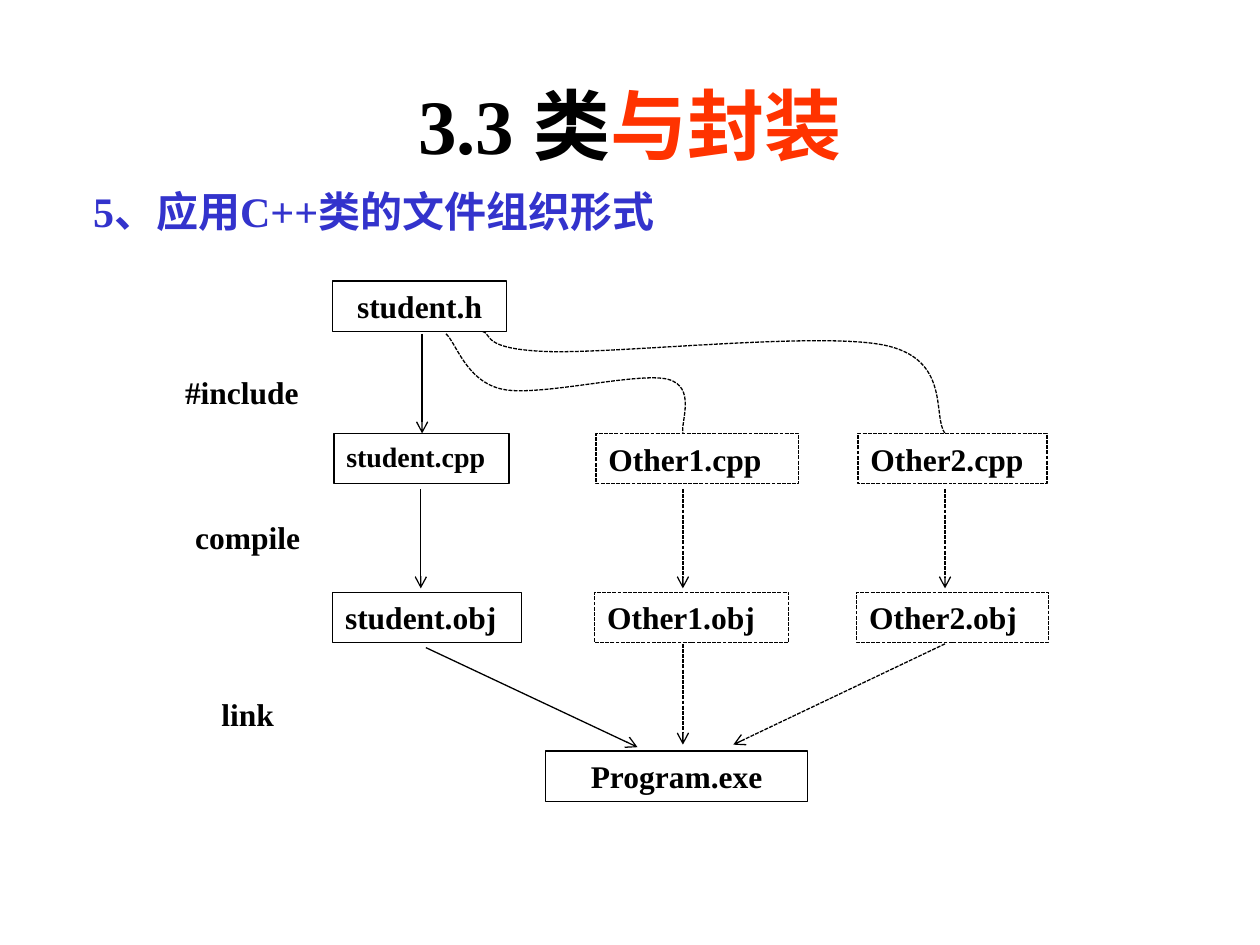
from lxml import etree
from pptx import Presentation
from pptx.dml.color import RGBColor
from pptx.enum import dml, shapes, text
from pptx.oxml import ns
from pptx.util import Inches, Pt

COLORS = {"ink": "000000", "paper": "FFFFFF", "accent": "FF3300", "heading": "3333CC"}
FONT = "Times New Roman"
ALIGN = text.PP_ALIGN
COLUMN_STEP = 2.08


def rgb(name):
    return RGBColor.from_string(COLORS[name])


def style_run(run, size, color):
    run.font.name = FONT
    run.font.size = Pt(size)
    run.font.bold = True
    run.font.color.rgb = rgb(color)


def style_line(line, dashed):
    line.color.rgb = rgb("ink")
    line.width = Pt(0.75)
    if dashed:
        line.dash_style = dml.MSO_LINE.SQUARE_DOT


def add_label(slide, box, wording, align=ALIGN.JUSTIFY, size=18):
    label = slide.shapes.add_shape(shapes.MSO_SHAPE.RECTANGLE, *map(Inches, box))
    label.shadow.inherit = False
    label.fill.solid()
    label.fill.fore_color.rgb = rgb("paper")
    label.line.fill.background()
    frame = label.text_frame
    frame.vertical_anchor = text.MSO_ANCHOR.TOP
    frame.text = wording
    frame.paragraphs[0].alignment = align
    style_run(frame.paragraphs[0].runs[0], size, "ink")
    return label


def add_file(slide, box, wording, align=ALIGN.JUSTIFY, size=18, dashed=False):
    style_line(add_label(slide, box, wording, align, size).line, dashed)


def add_arrow(slide, start, end, dashed=False):
    arrow = slide.shapes.add_connector(
        shapes.MSO_CONNECTOR.STRAIGHT, *map(Inches, (*start, *end))
    )
    style_line(arrow.line, dashed)
    etree.SubElement(arrow.line._get_or_add_ln(), ns.qn("a:tailEnd"), type="arrow")
    etree.SubElement(arrow._element.spPr, ns.qn("a:effectLst"))


def add_curve(slide, points):
    start, *controls = [tuple(map(Inches, point)) for point in points]
    builder = slide.shapes.build_freeform(*start)
    builder.add_line_segments(controls, close=False)
    curve = builder.convert_to_shape()
    segments = list(curve._element.iter(ns.qn("a:lnTo")))
    for first in range(0, len(segments), 3):
        bezier = etree.Element(ns.qn("a:cubicBezTo"))
        segments[first].addprevious(bezier)
        for segment in segments[first:first + 3]:
            bezier.append(segment[0])
            segment.getparent().remove(segment)
    curve.shadow.inherit = False
    curve.fill.background()
    style_line(curve.line, True)


def add_title(slide, box):
    title = slide.shapes.add_textbox(*map(Inches, box))
    frame = title.text_frame
    frame.word_wrap = True
    frame.vertical_anchor = text.MSO_ANCHOR.MIDDLE
    line = frame.paragraphs[0]
    line.alignment = ALIGN.CENTER
    for wording, color in (("3.3 类", "ink"), ("与封装", "accent")):
        run = line.add_run()
        run.text = wording
        style_run(run, 44, color)


def add_heading(slide, box):
    heading = slide.shapes.add_textbox(*map(Inches, box))
    frame = heading.text_frame
    frame.word_wrap = False
    frame.auto_size = text.MSO_AUTO_SIZE.SHAPE_TO_FIT_TEXT
    frame.text = "5、应用C++类的文件组织形式"
    line = frame.paragraphs[0]
    line.line_spacing = 0.9
    line.space_before = Pt(6)
    style_run(line.runs[0], 24, "heading")


def add_stages(slide, left, top):
    stages = (
        ("#include", 0.68, ALIGN.JUSTIFY),
        ("compile", 1.83, ALIGN.CENTER),
        ("link", 3.24, ALIGN.CENTER),
    )
    for wording, offset, align in stages:
        add_label(slide, (left, top + offset, 1.19, 0.37), wording, align)


def add_build_flow(slide, left, top):
    def at(x, y):
        return left + x, top + y

    header_curves = (
        ((0.9, 0.42), (0.98, 0.49), (1.06, 0.8), (1.35, 0.86), (1.64, 0.92),
         (2.42, 0.72), (2.66, 0.78), (2.89, 0.84), (2.76, 1.12), (2.78, 1.21)),
        ((1.19, 0.4), (1.27, 0.42), (1.17, 0.54), (1.7, 0.56), (2.24, 0.58),
         (3.86, 0.4), (4.38, 0.51), (4.91, 0.62), (4.76, 1.07), (4.86, 1.21)),
    )
    for points in header_curves:
        add_curve(slide, [at(*point) for point in points])

    units = (
        ("student", 1.39, 1.5, 16),
        ("Other1", 1.61, 1.54, 18),
        ("Other2", 1.5, 1.52, 18),
    )
    for column, (unit, source_width, object_width, source_size) in enumerate(units):
        x = column * COLUMN_STEP
        dashed = column > 0
        add_file(slide, (*at(x + 0.01, 1.21), source_width, 0.4),
                 f"{unit}.cpp", size=source_size, dashed=dashed)
        add_arrow(slide, at(x + 0.7, 1.65), at(x + 0.7, 2.44), dashed)
        add_file(slide, (*at(x, 2.47), object_width, 0.4),
                 f"{unit}.obj", dashed=dashed)

    add_file(slide, (*at(0, 0), 1.38, 0.4), "student.h", ALIGN.CENTER)
    add_arrow(slide, at(0.71, 0.42), at(0.71, 1.21))
    add_file(slide, (*at(1.69, 3.73), 2.08, 0.4), "Program.exe", ALIGN.CENTER)
    add_arrow(slide, at(0.74, 2.91), at(2.42, 3.7))
    add_arrow(slide, at(2.78, 2.88), at(2.78, 3.68), True)
    add_arrow(slide, at(4.86, 2.88), at(3.18, 3.68), True)


def main():
    deck = Presentation()
    deck.slide_width = Inches(10)
    deck.slide_height = Inches(7.5)
    slide = deck.slides.add_slide(deck.slide_layouts[6])
    add_build_flow(slide, 2.64, 2.23)
    add_stages(slide, 1.37, 2.23)
    add_heading(slide, (0.64, 1.47, 4.89, 0.46))
    add_title(slide, (0.75, 0.36, 8.5, 1.25))
    deck.save("out.pptx")


if __name__ == "__main__":
    main()
